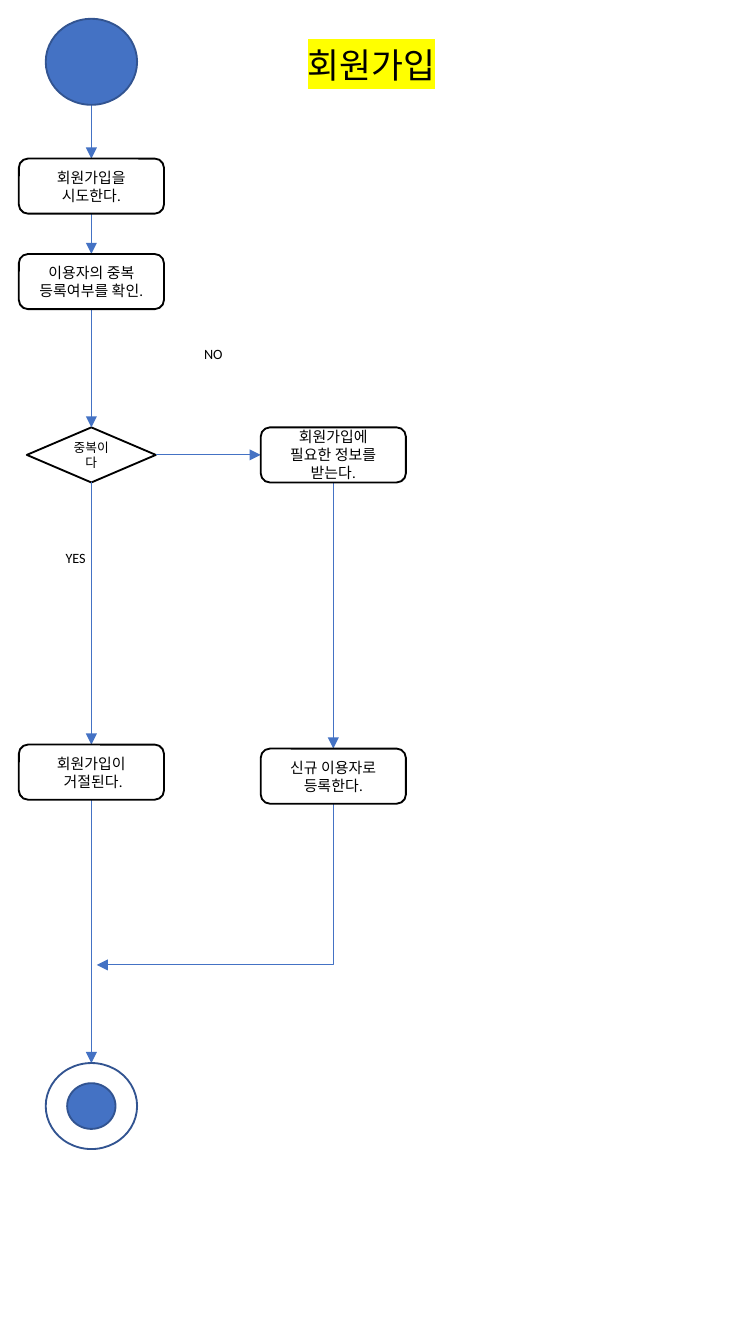
"""Build the sign-up activity diagram on one tall slide."""
import pptx
import pptx.util
import pptx.dml.color
import pptx.enum.shapes
import pptx.enum.text
import pptx.oxml.ns
from lxml import etree

Inches = pptx.util.Inches
Pt = pptx.util.Pt
RGBColor = pptx.dml.color.RGBColor
SHAPE = pptx.enum.shapes.MSO_SHAPE
CONNECTOR = pptx.enum.shapes.MSO_CONNECTOR
ALIGN = pptx.enum.text.PP_ALIGN
qn = pptx.oxml.ns.qn

BLACK = RGBColor(0x00, 0x00, 0x00)
WHITE = RGBColor(0xFF, 0xFF, 0xFF)
BLUE = RGBColor(0x44, 0x72, 0xC4)
NAVY = RGBColor(0x32, 0x54, 0x91)

LEFT_COL, RIGHT_COL = 0.68, 2.48
STEP_W, STEP_H = 1.08, 0.41
DECISION_W = 0.96
CIRCLE_W, CIRCLE_H = 0.68, 0.64
START, TRY, CHECK, DECIDE, REJECT, REGISTER, END = 0.14, 1.18, 1.89, 3.18, 5.54, 5.57, 7.91
MERGE_X, MERGE_Y = 0.72, 7.18

deck = pptx.Presentation()
deck.slide_height = Inches(10)
deck.slide_width = Inches(10 * 9 / 16)
page = deck.slides.add_slide(deck.slide_layouts[6])


def write(frame, text, size, align):
    frame.text = text
    for para in frame.paragraphs:
        para.alignment = align
        for span in para.runs:
            span.font.size = Pt(size)
            span.font.name = "Calibri"
            span.font.color.rgb = BLACK


def add_node(kind, center, top, width, height, fill, line):
    node = page.shapes.add_shape(
        kind, Inches(center - width / 2), Inches(top), Inches(width), Inches(height))
    node.shadow.inherit = False
    node.fill.solid()
    node.fill.fore_color.rgb = fill
    node.line.color.rgb = line
    node.line.width = Pt(1)
    return node


decision = add_node(SHAPE.DIAMOND, LEFT_COL, DECIDE, DECISION_W, STEP_H, WHITE, BLACK)
write(decision.text_frame, "중복이다", 6.8, ALIGN.CENTER)

decision_row = DECIDE + STEP_H / 2
flows = [
    (LEFT_COL, TRY + STEP_H, LEFT_COL, CHECK),
    (LEFT_COL, START + CIRCLE_H, LEFT_COL, TRY),
    (LEFT_COL, CHECK + STEP_H, LEFT_COL, DECIDE),
    (LEFT_COL + DECISION_W / 2, decision_row, RIGHT_COL - STEP_W / 2, decision_row),
    (RIGHT_COL, DECIDE + STEP_H, RIGHT_COL, REGISTER),
    (LEFT_COL, DECIDE + STEP_H, LEFT_COL, REJECT),
    (LEFT_COL, REJECT + STEP_H, LEFT_COL, END),
]
arrows = [page.shapes.add_connector(CONNECTOR.STRAIGHT, *map(Inches, flow)) for flow in flows]

# The elbow is laid out unturned around its centre, then turned a quarter.
drop, run = MERGE_Y - REGISTER - STEP_H, RIGHT_COL - MERGE_X
middle_x, middle_y = MERGE_X + run / 2, MERGE_Y - drop / 2
merge = page.shapes.add_connector(
    CONNECTOR.ELBOW, Inches(middle_x - drop / 2), Inches(middle_y - run / 2),
    Inches(middle_x + drop / 2), Inches(middle_y + run / 2))
merge._element.spPr.find(qn("a:xfrm")).set("rot", "5400000")
merge._element.spPr.find(qn("a:prstGeom")).set("prst", "bentConnector2")

for arrow in arrows + [merge]:
    arrow.line.color.rgb = BLUE
    arrow.line.width = Pt(0.5)
    outline = arrow._element.spPr.find(qn("a:ln"))
    etree.SubElement(outline, qn("a:tailEnd"), type="triangle")
    etree.SubElement(arrow._element.spPr, qn("a:effectLst"))

labels = [
    ("NO", 1.42, 2.52, 0.34, 0.23, 7.6),
    ("YES", 0.39, 4.04, 0.37, 0.23, 7.6),
    ("회원가입", 2.19, 0.28, 1.24, 0.41, 18.6),
]
for text, left, top, width, height, size in labels:
    box = page.shapes.add_textbox(Inches(left), Inches(top), Inches(width), Inches(height))
    box.text_frame.word_wrap = False
    box.text_frame.auto_size = pptx.enum.text.MSO_AUTO_SIZE.SHAPE_TO_FIT_TEXT
    write(box.text_frame, text, size, ALIGN.LEFT)

title_span = box.text_frame.paragraphs[0].runs[0]
highlight = etree.Element(qn("a:highlight"))
etree.SubElement(highlight, qn("a:srgbClr"), val="FFFF00")
title_span._r.rPr.find(qn("a:solidFill")).addnext(highlight)

steps = [
    (LEFT_COL, TRY, "회원가입을 시도한다."),
    (LEFT_COL, CHECK, "이용자의 중복 등록여부를 확인."),
    (RIGHT_COL, DECIDE, "회원가입에 필요한 정보를 받는다."),
    (RIGHT_COL, REGISTER, "신규 이용자로 등록한다."),
    (LEFT_COL, REJECT, "회원가입이\n 거절된다."),
]
for column, top, text in steps:
    step = add_node(SHAPE.ROUNDED_RECTANGLE, column, top, STEP_W, STEP_H, WHITE, BLACK)
    write(step.text_frame, text, 8, ALIGN.CENTER)

add_node(SHAPE.OVAL, LEFT_COL, START, CIRCLE_W, CIRCLE_H, BLUE, NAVY)
add_node(SHAPE.OVAL, LEFT_COL, END, CIRCLE_W, CIRCLE_H, WHITE, NAVY)
add_node(SHAPE.OVAL, LEFT_COL, END + 0.15, 0.36, 0.34, BLUE, NAVY)

deck.save("out.pptx")
